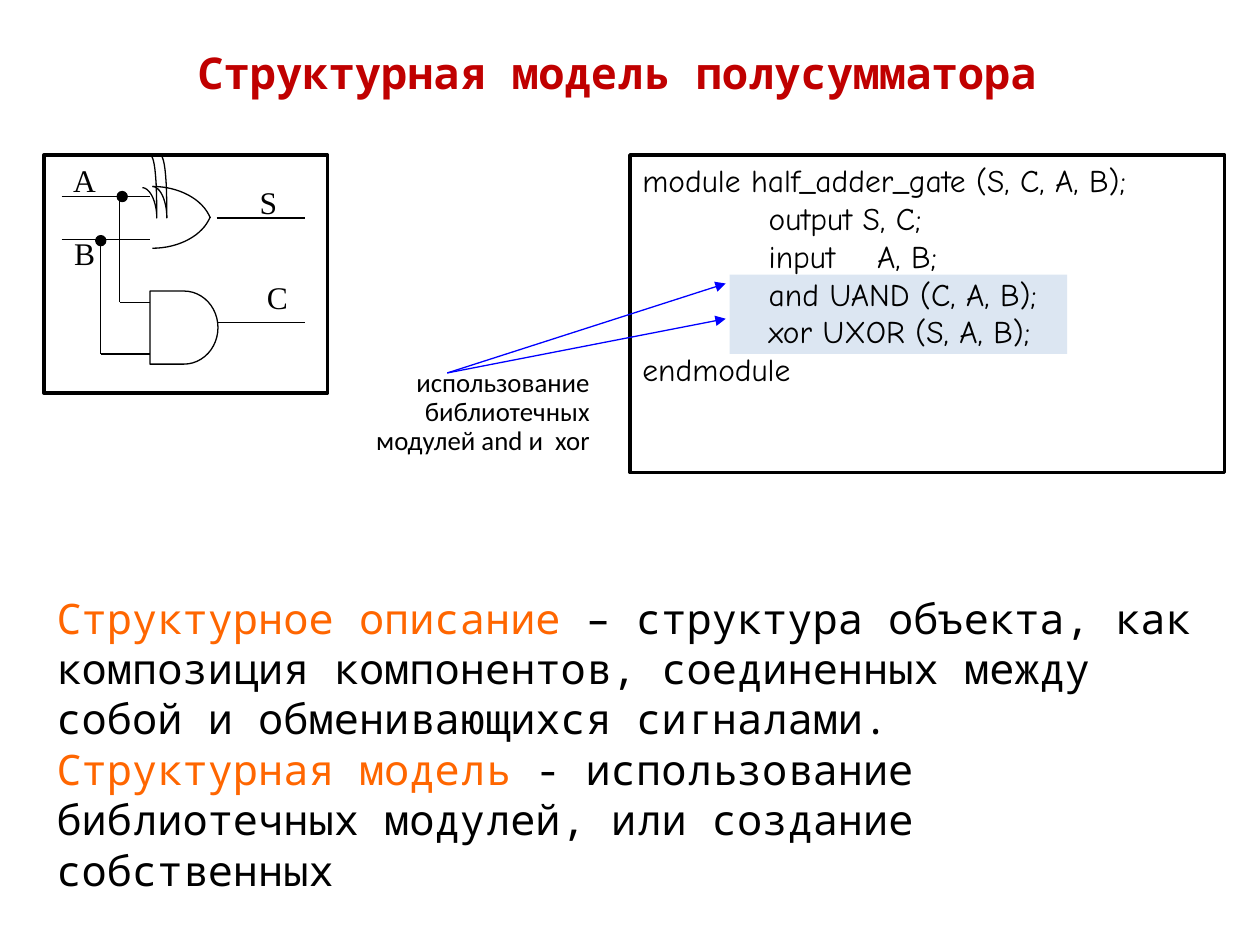
from lxml import etree
from pptx import Presentation
from pptx import util as u
from pptx.dml.color import RGBColor
from pptx.enum import shapes, text
from pptx.oxml import ns

# The page is a grid of 100 columns by 75 rows; all lengths are in grid cells
COLUMNS, ROWS = 100, 75
BLACK, RED, ORANGE, BLUE, PALE = "000000", "C00000", "FF6600", "0000FF", "DCE6F2"
MONO = {"name": "Noto Sans Mono", "size": u.Pt(24)}
HAND = {"name": "Comic Neue", "size": u.Pt(18)}
SERIF = {"name": "Times New Roman", "size": u.Pt(18)}
SANS = {"name": "Calibri", "size": u.Pt(15.3)}

CODE = """module half_adder_gate (S, C, A, B);
            output S, C;
            input    A, B;
            and UAND (C, A, B);
            xor UXOR (S, A, B);
endmodule"""


def cells(*values):
    return [u.Inches(value / 10) for value in values]


def color(code):
    return RGBColor.from_string(code)


def assign(target, values):
    for name, value in values.items():
        setattr(target, name, value)


def write(box, lines, font, align=text.PP_ALIGN.LEFT, spacing=None, **frame_format):
    """Fill a box; each line is a list of (wording, colour) spans."""
    frame = box.text_frame
    assign(frame, {"word_wrap": True, "vertical_anchor": text.MSO_ANCHOR.TOP,
                   **frame_format})
    for index, line in enumerate(lines):
        para = frame.add_paragraph() if index else frame.paragraphs[0]
        assign(para, {"alignment": align, "line_spacing": spacing})
        for wording, code in line:
            span = para.add_run()
            span.text = wording
            assign(span.font, font)
            span.font.color.rgb = color(code)


def add_text(parent, place, lines, font, **options):
    write(parent.add_textbox(*cells(*place)), lines, font, **options)


def style(shape, fill=None, line=None, width=0.75):
    shape.shadow.inherit = False
    if fill:
        shape.fill.solid()
        shape.fill.fore_color.rgb = color(fill)
    else:
        shape.fill.background()
    if line:
        shape.line.color.rgb = color(line)
        shape.line.width = u.Pt(width)
    else:
        shape.line.fill.background()


def add_shape(parent, kind, place, **look):
    shape = parent.add_shape(kind, *cells(*place))
    style(shape, **look)
    return shape


def add_line(parent, start, end, code=BLACK, arrow=False):
    line = parent.add_connector(shapes.MSO_CONNECTOR.STRAIGHT, *cells(*start, *end))
    line.line.color.rgb = color(code)
    line.line.width = u.Pt(0.75)
    if arrow:
        etree.SubElement(line.line._get_or_add_ln(), ns.qn("a:tailEnd"), type="triangle")
    etree.SubElement(line._element.spPr, ns.qn("a:effectLst"))


def bezier(points, steps=16):
    """Points along a cubic curve, without its start."""
    for step in range(1, steps + 1):
        t = step / steps
        weights = ((1 - t) ** 3, 3 * t * (1 - t) ** 2, 3 * t * t * (1 - t), t ** 3)
        yield cells(*(sum(w * p[axis] for w, p in zip(weights, points))
                      for axis in (0, 1)))


def add_curve(parent, points):
    """Chain cubic curves: a start, then three points for each curve."""
    builder = parent.build_freeform(*cells(*points[0]))
    for first in range(0, len(points) - 1, 3):
        builder.add_line_segments(list(bezier(points[first:first + 4])), close=False)
    style(builder.convert_to_shape(), line=BLACK)


def add_circuit(parent):
    # Wires
    for start, end in (((4.9, 15.6), (11.9, 15.6)), ((4.9, 19), (11.9, 19)),
                       ((9.5, 15.6), (9.5, 24)), ((9.5, 24), (11.9, 24)),
                       ((8, 19), (8, 28.1)), ((8, 28.1), (11.9, 28.1)),
                       ((17.2, 17.3), (24.2, 17.3)), ((17.2, 25.6), (24.2, 25.6))):
        add_line(parent, start, end)

    # AND gate and junction dots
    kinds = shapes.MSO_SHAPE
    add_shape(parent, kinds.FLOWCHART_DELAY, (11.9, 23.1, 5.4, 5.8), line=BLACK)
    for left, top in ((7.6, 18.7), (9.3, 15.2)):
        add_shape(parent, kinds.OVAL, (left, top, 0.8, 0.8), fill=BLACK, line=BLACK)

    # Signal names
    for name, left, top, width in (("A", 4.8, 12.3, 3.8), ("B", 4.9, 18.1, 3.6),
                                   ("S", 19.6, 14, 3.4), ("C", 20.2, 21.6, 3.6)):
        add_text(parent, (left, top, width, 4), [[(name, BLACK)]], SERIF,
                 align=text.PP_ALIGN.CENTER, word_wrap=False,
                 vertical_anchor=text.MSO_ANCHOR.MIDDLE)

    # XOR gate: two input arcs, then the lower and upper sides
    for x, y in ((12.1, 14.8), (13.3 - 2, 14.9)):
        add_curve(parent, [(x, y), (x + 0.6, y), (x + 1.15, y + 1.1), (x + 1.15, 17.3),
                           (x + 1.15, 11.2), (x + 0.6, 12.3), (x, 12.3)])
    for base, bend, tip in ((19.7, 18.7, 17.2), (14.8, 15.8, 17.3)):
        add_curve(parent, [(12.1, base), (14.2, base), (16.1, bend), (16.7, tip)])


def main():
    deck = Presentation()
    deck.slide_width, deck.slide_height = cells(COLUMNS, ROWS)
    page = deck.slides.add_slide(deck.slide_layouts[6]).shapes
    rectangle = shapes.MSO_SHAPE.RECTANGLE

    # Highlight behind the library modules
    add_shape(page, rectangle, (57.9, 21.8, 26.8, 6.3), fill=PALE)

    # Title
    add_text(page, (5, 3, 90, 5.4), [[("Структурная модель полусумматора ", RED)]],
             {**MONO, "size": u.Pt(25), "bold": True}, align=text.PP_ALIGN.CENTER,
             vertical_anchor=text.MSO_ANCHOR.MIDDLE)

    # Code listing
    listing = add_shape(page, rectangle, (50, 12.3, 47.2, 25.2), line=BLACK, width=2)
    write(listing, [[(line, BLACK)] for line in CODE.splitlines()], HAND)

    # Half adder circuit in its frame
    add_circuit(page.add_group_shape().shapes)
    add_shape(page, rectangle, (3.5, 12.3, 22.5, 18.9), line=BLACK, width=2)

    # Definitions
    add_text(page, (3.5, 46.5, 92.1, 23.2), [
        [("Структурное описание", ORANGE),
         (" – структура объекта, как композиция компонентов, соединенных между "
          "собой и обменивающихся сигналами.", BLACK)],
        [("Структурная модель", ORANGE),
         (" - использование библиотечных модулей, или создание собственных", BLACK)],
    ], MONO)

    # Note with arrows to the two module lines
    note = ("использование", "библиотечных", "модулей and и  xor")
    add_text(page, (27.5, 28.8, 20.3, 9.4), [[(line, BLACK)] for line in note], SANS,
             align=text.PP_ALIGN.RIGHT, spacing=0.9)
    for row in (22.5, 25.3):
        add_line(page, (35.5, 29.6), (57.6, row), BLUE, arrow=True)

    deck.save("out.pptx")


if __name__ == "__main__":
    main()
